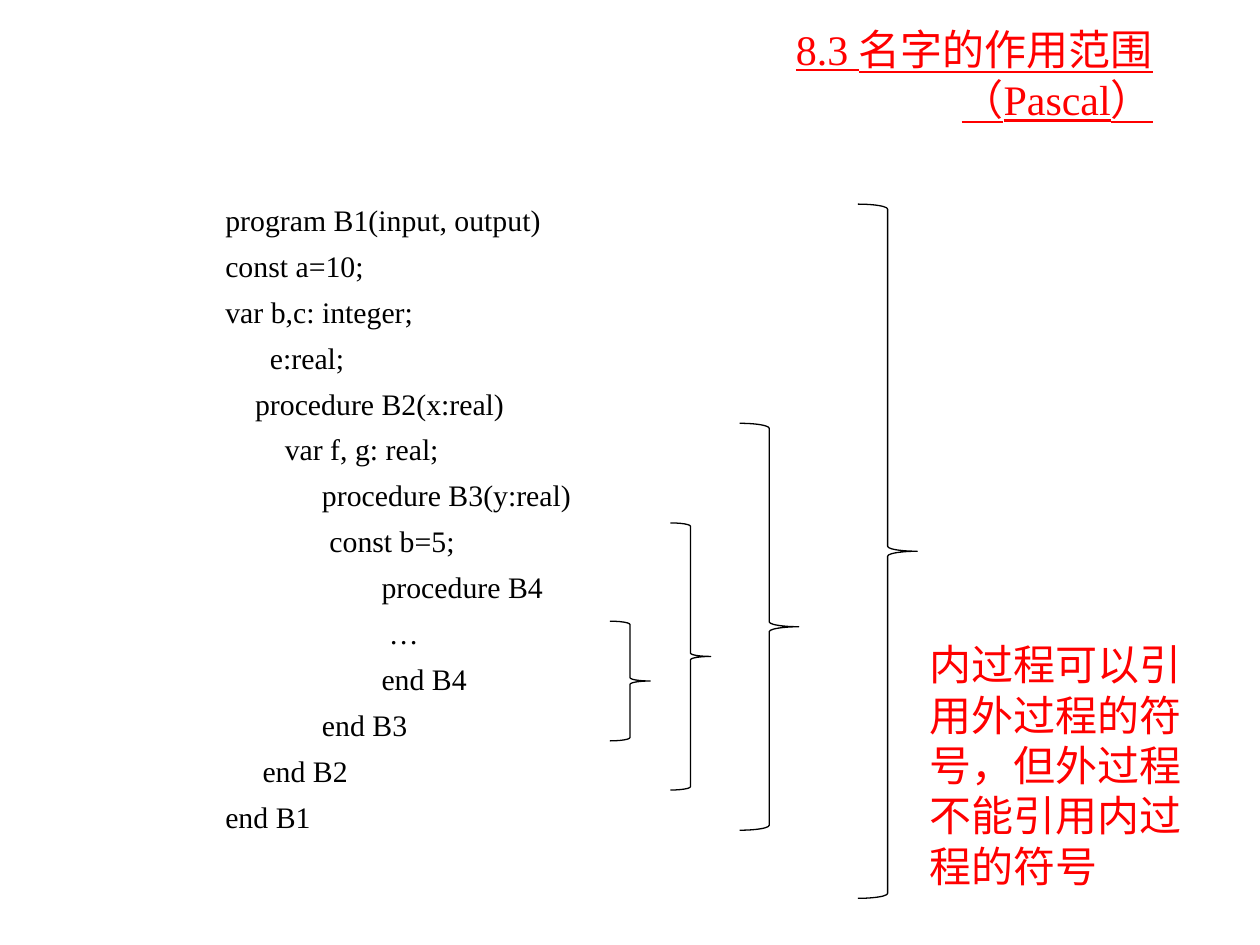
from dataclasses import dataclass

from pptx import Presentation
from pptx.dml.color import RGBColor
from pptx.enum.shapes import MSO_SHAPE
from pptx.enum.text import MSO_ANCHOR, MSO_AUTO_SIZE, PP_ALIGN
from pptx.util import Inches, Pt

RIGHT_BRACE = MSO_SHAPE.RIGHT_BRACE
TOP, MIDDLE = MSO_ANCHOR.TOP, MSO_ANCHOR.MIDDLE
FIXED_SIZE = MSO_AUTO_SIZE.NONE
LEFT, RIGHT = PP_ALIGN.LEFT, PP_ALIGN.RIGHT
TITLE_ONLY = 5


@dataclass(frozen=True)
class Theme:
    font: str = "Times New Roman"
    ink: RGBColor = RGBColor(0, 0, 0)
    accent: RGBColor = RGBColor(255, 0, 0)
    heading_size: float = 24
    code_size: float = 17
    code_gap: float = 5.85
    line_width: float = 0.75


THEME = Theme()
INDENT_STEP = Pt(THEME.code_size / 4)  # a quarter em, one column of code

# (columns of indent, code)
PROGRAM = [
    (0, "program B1(input, output)"),
    (0, "const a=10;"),
    (0, "var b,c: integer;"),
    (6, "e:real;"),
    (4, "procedure B2(x:real)"),
    (8, "var f, g: real;"),
    (13, "procedure B3(y:real)"),
    (14, "const b=5;"),
    (21, "procedure B4"),
    (22, "…"),
    (21, "end B4"),
    (13, "end B3"),
    (5, "end B2"),
    (0, "end B1"),
]

# left, top, width, height of each scope, innermost first
SCOPES = [
    (4.84, 4.93, 0.32, 0.95),
    (5.32, 4.15, 0.32, 2.12),
    (5.87, 3.36, 0.47, 3.23),
    (6.81, 1.62, 0.47, 5.51),
]


def add_span(para, text, size, color, underline=None):
    span = para.add_run()
    span.text = text
    span.font.name = THEME.font
    span.font.size = Pt(size)
    span.font.color.rgb = color
    span.font.underline = underline


def prepare_frame(box, anchor):
    frame = box.text_frame
    frame.word_wrap = True
    frame.auto_size = FIXED_SIZE
    frame.vertical_anchor = anchor
    return frame


def add_text_box(page, left, top, width, height):
    box = page.shapes.add_textbox(*map(Inches, (left, top, width, height)))
    return prepare_frame(box, TOP)


def fill_title(page, lines):
    box = page.shapes.title
    box.left, box.top, box.width, box.height = map(Inches, (0.75, 0.25, 8.5, 0.67))
    para = prepare_frame(box, MIDDLE).paragraphs[0]
    para.alignment = RIGHT
    for index, line in enumerate(lines):
        if index:
            para.add_line_break()
        add_span(para, line, THEME.heading_size, THEME.accent, underline=True)


def add_program(page):
    frame = add_text_box(page, 1.69, 1.55, 6.53, 5.12)
    for index, (columns, code) in enumerate(PROGRAM):
        para = frame.add_paragraph() if index else frame.paragraphs[0]
        para.alignment = LEFT
        para.space_before = Pt(THEME.code_gap)
        para._p.get_or_add_pPr().set("marL", str(columns * INDENT_STEP))
        add_span(para, code, THEME.code_size, THEME.ink)


def add_scope_brace(page, left, top, width, height):
    brace = page.shapes.add_shape(RIGHT_BRACE, *map(Inches, (left, top, width, height)))
    brace.shadow.inherit = False
    brace.fill.background()
    brace.line.color.rgb = THEME.ink
    brace.line.width = Pt(THEME.line_width)


def add_note(page, text):
    para = add_text_box(page, 7.28, 5.02, 2.5, 2.1).paragraphs[0]
    add_span(para, text, THEME.heading_size, THEME.accent)


def main():
    deck = Presentation()
    deck.slide_width, deck.slide_height = Inches(10), Inches(7.5)
    page = deck.slides.add_slide(deck.slide_layouts[TITLE_ONLY])
    fill_title(page, ["8.3 名字的作用范围", "（Pascal）"])
    add_program(page)
    for scope in SCOPES:
        add_scope_brace(page, *scope)
    add_note(page, "内过程可以引用外过程的符号，但外过程不能引用内过程的符号")
    deck.save("out.pptx")


if __name__ == "__main__":
    main()
